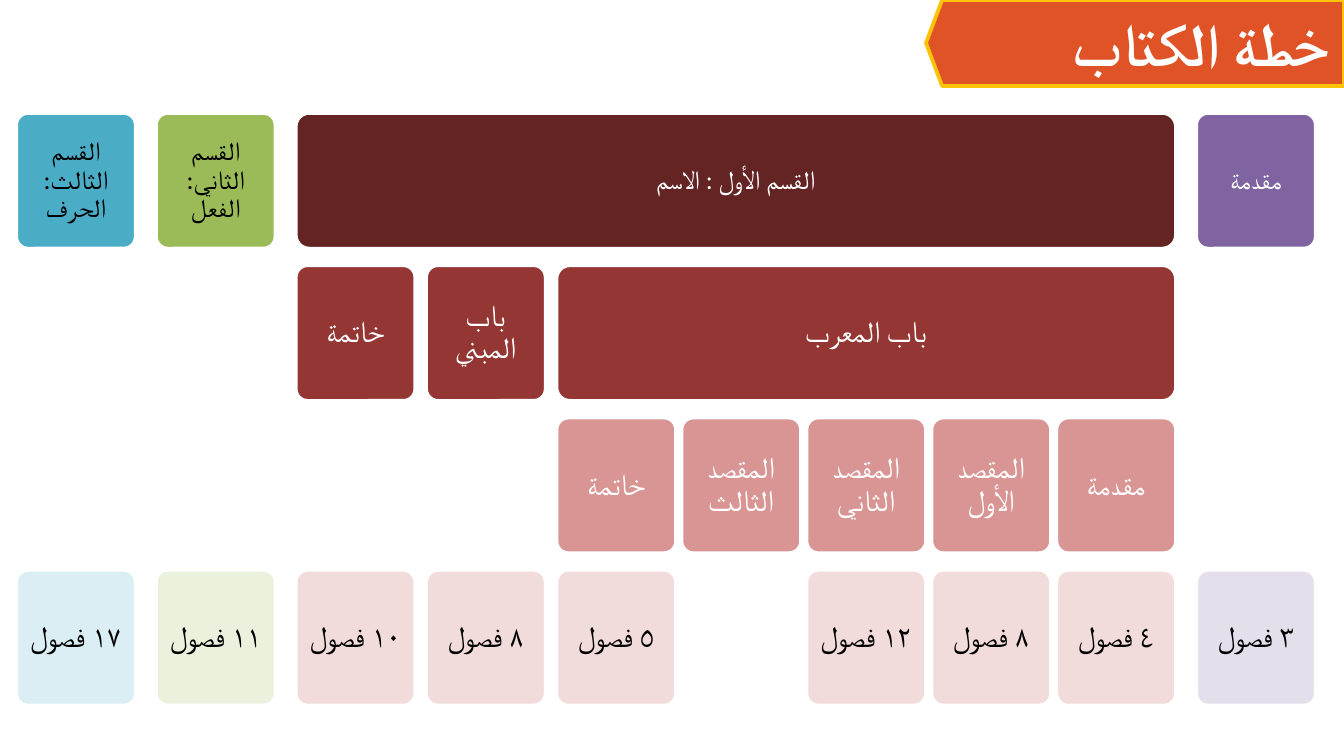
from itertools import accumulate

from lxml import etree
from pptx import Presentation
from pptx import util as u
from pptx.dml.color import RGBColor
from pptx.enum import shapes, text
from pptx.oxml.ns import qn

COLOURS = {
    "white": "FFFFFF", "black": "000000", "banner": "DF5327", "gold": "FEC306",
    "purple": "8064A2", "pale purple": "E5DFEC",
    "maroon": "632423", "red": "943634", "rose": "D99594", "pale rose": "F2DBDB",
    "green": "9BBB59", "pale green": "EAF1DD",
    "blue": "4BACC6", "pale blue": "DAEEF3",
}
FONT = "Calibri"
TITLE = "خطة الكتاب"

# Each card: wording, first column, last column, fill, text colour.
# Columns are numbered from the left edge.
LEVELS = [
    [("مقدمة", 9, 9, "purple", "white"),
     ("القسم الأول : الاسم", 2, 8, "maroon", "white"),
     ("القسم الثاني: الفعل", 1, 1, "green", "black"),
     ("القسم الثالث: الحرف", 0, 0, "blue", "black")],
    [("باب المعرب", 4, 8, "red", "white"),
     ("باب المبني", 3, 3, "red", "white"),
     ("خاتمة", 2, 2, "red", "white")],
    [("مقدمة", 8, 8, "rose", "white"),
     ("المقصد الأول", 7, 7, "rose", "white"),
     ("المقصد الثاني", 6, 6, "rose", "white"),
     ("المقصد الثالث", 5, 5, "rose", "white"),
     ("خاتمة", 4, 4, "rose", "white")],
    [("٣ فصول", 9, 9, "pale purple", "black"),
     ("٤ فصول", 8, 8, "pale rose", "black"),
     ("٨ فصول", 7, 7, "pale rose", "black"),
     ("١٢ فصول", 6, 6, "pale rose", "black"),
     ("٥ فصول", 4, 4, "pale rose", "black"),
     ("٨ فصول", 3, 3, "pale rose", "black"),
     ("١٠ فصول", 2, 2, "pale rose", "black"),
     ("١١ فصول", 1, 1, "pale green", "black"),
     ("١٧ فصول", 0, 0, "pale blue", "black")],
]
LEVEL_SIZES = [14, 16, 16, 16]

# Steps between columns shrink with depth: sections, chapters, parts.
SECTION, CHAPTER, PART = 1.04, 0.97, 0.93
COLUMN_LEFTS = list(accumulate(
    [0.12] + [SECTION] * 2 + [CHAPTER] * 2 + [PART] * 4 + [SECTION]))
CARD_WIDTH, CARD_HEIGHT, CARD_MARGIN = 0.89, 1.01, 0.05
FIRST_TOP, LAST_TOP = 0.84, 4.24
LEVEL_STEP = (LAST_TOP - FIRST_TOP) / (len(LEVELS) - 1)
BANNER = [u.Inches(value) for value in (6.89, 0, 3.11, 0.64)]


def colour(name):
    return RGBColor.from_string(COLOURS[name])


def set_attributes(target, values):
    for name, value in values.items():
        setattr(target, name, value)


def add_filled_shape(slide, kind, box, fill, line, adjustment):
    shape = slide.shapes.add_shape(kind, *box)
    shape.shadow.inherit = False
    shape.adjustments[0] = adjustment
    shape.fill.solid()
    shape.fill.fore_color.rgb = colour(fill)
    shape.line.color.rgb = colour(line)
    shape.line.width = u.Pt(2)
    return shape


def write_arabic(frame, wording, alignment, size, font_colour, bold=False):
    """Write one right-to-left paragraph, with its complex-script font."""
    set_attributes(frame, {"word_wrap": True, "auto_size": text.MSO_AUTO_SIZE.NONE,
                           "vertical_anchor": text.MSO_ANCHOR.MIDDLE})
    paragraph = frame.paragraphs[0]
    paragraph.alignment = alignment
    paragraph._p.get_or_add_pPr().set("rtl", "1")
    run = paragraph.add_run()
    run.text = wording
    set_attributes(run.font, {"name": FONT, "size": u.Pt(size), "bold": bold})
    run.font.color.rgb = colour(font_colour)
    etree.SubElement(run._r.get_or_add_rPr(), qn("a:cs")).set("typeface", FONT)
    return paragraph


def add_title(slide):
    banner = add_filled_shape(slide, shapes.MSO_SHAPE.PENTAGON, BANNER,
                              "banner", "gold", 0.187)
    banner._element.spPr.find(qn("a:xfrm")).set("flipH", "1")
    title = slide.shapes.title
    title._element.addprevious(banner._element)
    set_attributes(title, dict(zip(("left", "top", "width", "height"), BANNER)))
    write_arabic(title.text_frame, TITLE, text.PP_ALIGN.RIGHT, 32, "white", bold=True)


def add_card(slide, level, wording, first, last, fill, font_colour):
    left = COLUMN_LEFTS[first]
    width = COLUMN_LEFTS[last] + CARD_WIDTH - left
    box = [u.Inches(value) for value in
           (left, FIRST_TOP + level * LEVEL_STEP, width, CARD_HEIGHT)]
    card = add_filled_shape(slide, shapes.MSO_SHAPE.ROUNDED_RECTANGLE, box,
                            fill, "white", 0.1)
    set_attributes(card.text_frame, dict.fromkeys(
        ("margin_left", "margin_top", "margin_right", "margin_bottom"),
        u.Inches(CARD_MARGIN)))
    paragraph = write_arabic(card.text_frame, wording, text.PP_ALIGN.CENTER,
                             LEVEL_SIZES[level], font_colour)
    paragraph.line_spacing = 0.9
    space_after = etree.SubElement(paragraph._p.get_or_add_pPr(), qn("a:spcAft"))
    etree.SubElement(space_after, qn("a:spcPct")).set("val", "35000")


def main():
    presentation = Presentation()
    presentation.slide_width = u.Inches(10)
    presentation.slide_height = presentation.slide_width * 9 // 16
    slide = presentation.slides.add_slide(presentation.slide_layouts[5])
    add_title(slide)
    for level, cards in enumerate(LEVELS):
        for card in cards:
            add_card(slide, level, *card)
    presentation.save("out.pptx")


if __name__ == "__main__":
    main()
